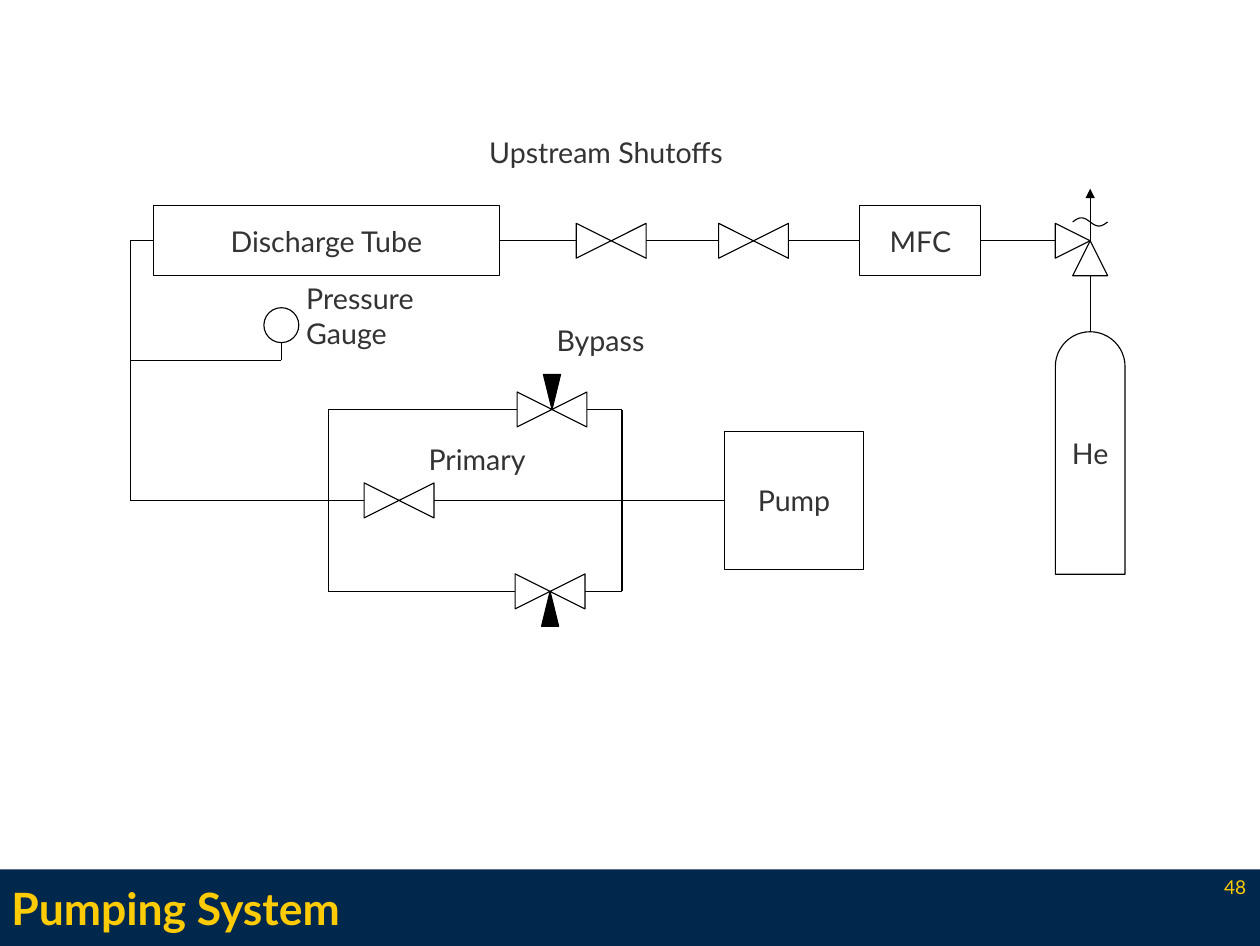
"""Draw the helium pumping system diagram on one slide."""
from dataclasses import dataclass
from itertools import pairwise
from math import pi, sin

from lxml.etree import SubElement
from pptx import Presentation
from pptx.dml.color import RGBColor
from pptx.enum.shapes import MSO_CONNECTOR, MSO_SHAPE
from pptx.enum.text import MSO_ANCHOR, PP_ALIGN
from pptx.oxml.ns import qn
from pptx.util import Pt


@dataclass(frozen=True)
class Theme:
    """Colours, font and sizes."""
    font: str = "Lato"
    navy: str = "00274C"
    maize: str = "FFCB05"
    ink: str = "333333"
    black: str = "000000"
    white: str = "FFFFFF"
    title: int = 28
    label: int = 18
    number: int = 12
    stroke: float = 0.71


THEME = Theme()
PAGE_SIZE = (793.44, 595.44)
FOOTER_TOP = 547.2
SIDE = 22
PLUG_WIDTH = 10.8
GAS_Y, PUMP_Y = 151.56, 315
LOOP_LEFT, LOOP_RIGHT = 206.64, 391.68
BYPASS_Y, LOWER_Y = 257.76, 372.24
TRUNK_X, BRANCH_Y = 82, 226.8
CYLINDER = (664.56, 208.8, 43.92, 152.64)
RELIEF_X = CYLINDER[0] + CYLINDER[2] / 2
GAUGE_X, GAUGE_TOP = 177.2, 193.68
VENT_TOP, WAVE_Y, WAVE_HEIGHT = 118.8, 139.7, 2.6

BOXES = {
    "Discharge Tube": (96.48, 129.6, 218.16, 43.92),
    "MFC": (541.44, 129.6, 76.32, 43.92),
    "Pump": (456.48, 271.44, 87.12, 87.12),
}
VALVES = {
    "first shutoff": (384.9, GAS_Y),
    "second shutoff": (474.5, GAS_Y),
    "primary": (251.3, PUMP_Y),
    "bypass": (347.6, BYPASS_Y),
    "lower": (346.4, LOWER_Y),
}
LABELS = [
    ("Upstream Shutoffs", (300.96, 81.36, 252.72, 32)),
    ("Pressure\nGauge", (185.76, 173.52, 116.64, 54)),
    ("Bypass", (343.44, 199.44, 118.08, 32)),
    ("Primary", (262.8, 274.32, 128.16, 32)),
]
TOP, LEFT, BOTTOM, RIGHT = range(4)


def valve_end(name, direction):
    x, y = VALVES[name]
    return x + direction * SIDE, y


PIPES = [
    [("Discharge Tube", RIGHT), valve_end("first shutoff", -1)],
    [valve_end("first shutoff", 1), valve_end("second shutoff", -1)],
    [valve_end("second shutoff", 1), ("MFC", LEFT)],
    [("MFC", RIGHT), (RELIEF_X - SIDE, GAS_Y)],
    [(RELIEF_X, GAS_Y + SIDE), (RELIEF_X, CYLINDER[1])],
    [("Discharge Tube", LEFT), (TRUNK_X, GAS_Y), (TRUNK_X, PUMP_Y),
     valve_end("primary", -1)],
    [(TRUNK_X, BRANCH_Y), (GAUGE_X, BRANCH_Y), (GAUGE_X, GAUGE_TOP + SIDE)],
    [valve_end("primary", 1), ("Pump", LEFT)],
    [valve_end("bypass", -1), (LOOP_LEFT, BYPASS_Y), (LOOP_LEFT, LOWER_Y),
     valve_end("lower", -1)],
    [valve_end("bypass", 1), (LOOP_RIGHT, BYPASS_Y), (LOOP_RIGHT, LOWER_Y),
     valve_end("lower", 1)],
]


def paint(target, color):
    target.solid()
    target.fore_color.rgb = RGBColor.from_string(color)


def outline(line):
    paint(line.fill, THEME.black)
    line.width = Pt(THEME.stroke)


def write(box, text, size=THEME.label, color=THEME.ink, bold=False,
          align=PP_ALIGN.LEFT, anchor=MSO_ANCHOR.TOP, margins=(7.2, 3.6, 7.2, 3.6),
          wrap=True):
    frame = box.text_frame
    frame.text = text
    frame.word_wrap = wrap
    frame.vertical_anchor = anchor
    (frame.margin_left, frame.margin_top,
     frame.margin_right, frame.margin_bottom) = map(Pt, margins)
    for para in frame.paragraphs:
        para.alignment = align
        for span in para.runs:
            span.font.name = THEME.font
            span.font.size = Pt(size)
            span.font.bold = bold
            span.font.color.rgb = RGBColor.from_string(color)


def add_part(page, kind, bounds, fill=THEME.white, rotation=0):
    part = page.shapes.add_shape(kind, *map(Pt, bounds))
    part.shadow.inherit = False
    part.rotation = rotation
    paint(part.fill, fill)
    outline(part.line)
    return part


def add_label(page, text, bounds, **style):
    write(page.shapes.add_textbox(*map(Pt, bounds)), text, **style)


def add_triangle(page, tip, rotation, width=SIDE, fill=THEME.white):
    x, y = tip
    shift_x, shift_y = {0: (0, 1), 90: (-1, 0), 180: (0, -1), 270: (1, 0)}[rotation]
    center_x, center_y = x + shift_x * SIDE / 2, y + shift_y * SIDE / 2
    bounds = (center_x - width / 2, center_y - SIDE / 2, width, SIDE)
    add_part(page, MSO_SHAPE.ISOSCELES_TRIANGLE, bounds, fill, rotation)


def place(end):
    if end[0] not in BOXES:
        return end
    left, top, width, height = BOXES[end[0]]
    return left + (width if end[1] == RIGHT else 0), top + height / 2


def add_pipe(page, start, finish, boxes):
    pipe = page.shapes.add_connector(
        MSO_CONNECTOR.STRAIGHT, *map(Pt, place(start) + place(finish)))
    if start[0] in boxes:
        pipe.begin_connect(boxes[start[0]], start[1])
    if finish[0] in boxes:
        pipe.end_connect(boxes[finish[0]], finish[1])
    outline(pipe.line)
    SubElement(pipe._element.spPr, qn("a:effectLst"))
    return pipe


def add_relief_valve(page):
    for rotation in (90, 0):
        add_triangle(page, (RELIEF_X, GAS_Y), rotation)
    vent = add_pipe(page, (RELIEF_X, GAS_Y), (RELIEF_X, VENT_TOP), {})
    SubElement(vent.get_or_add_ln(), qn("a:tailEnd"), type="triangle")
    steps = 24
    points = [(Pt(RELIEF_X + SIDE * (step / steps - 0.5)),
               Pt(WAVE_Y - WAVE_HEIGHT * sin(2 * pi * step / steps)))
              for step in range(steps + 1)]
    builder = page.shapes.build_freeform(*points[0])
    builder.add_line_segments(points[1:], close=False)
    wave = builder.convert_to_shape()
    wave.shadow.inherit = False
    wave.fill.background()
    outline(wave.line)


def main():
    deck = Presentation()
    deck.slide_width, deck.slide_height = map(Pt, PAGE_SIZE)
    page = deck.slides.add_slide(deck.slide_layouts[6])
    footer_height = PAGE_SIZE[1] - FOOTER_TOP
    footer = add_part(page, MSO_SHAPE.RECTANGLE,
                      (0, FOOTER_TOP, PAGE_SIZE[0], footer_height), THEME.navy)
    footer.line.fill.background()
    add_label(page, "Pumping System", (7.2, FOOTER_TOP, 655.2, footer_height),
              size=THEME.title, color=THEME.maize, bold=True,
              anchor=MSO_ANCHOR.MIDDLE, margins=(0, 0, 0, 0))
    add_label(page, "48", (689.76, 550.8, 95.04, 19.44), size=THEME.number,
              color=THEME.maize, align=PP_ALIGN.RIGHT, margins=(0, 0, 0, 0))

    boxes = {}
    centered = {"align": PP_ALIGN.CENTER, "anchor": MSO_ANCHOR.MIDDLE, "wrap": False}
    for name, bounds in BOXES.items():
        boxes[name] = add_part(page, MSO_SHAPE.RECTANGLE, bounds)
        write(boxes[name], name, **centered)
    cylinder = add_part(page, MSO_SHAPE.ROUND_2_SAME_RECTANGLE, CYLINDER)
    cylinder.adjustments[0] = 0.5
    write(cylinder, "He", margins=(0, 0, 0, 6.4), **centered)
    add_part(page, MSO_SHAPE.OVAL, (GAUGE_X - SIDE / 2, GAUGE_TOP, SIDE, SIDE))

    for route in PIPES:
        for start, finish in pairwise(route):
            add_pipe(page, start, finish, boxes)
    for center in VALVES.values():
        for rotation in (90, 270):
            add_triangle(page, center, rotation)
    for name, rotation in (("bypass", 180), ("lower", 0)):
        add_triangle(page, VALVES[name], rotation, PLUG_WIDTH, THEME.black)
    add_relief_valve(page)
    for text, bounds in LABELS:
        add_label(page, text, bounds)
    deck.save("out.pptx")


if __name__ == "__main__":
    main()
